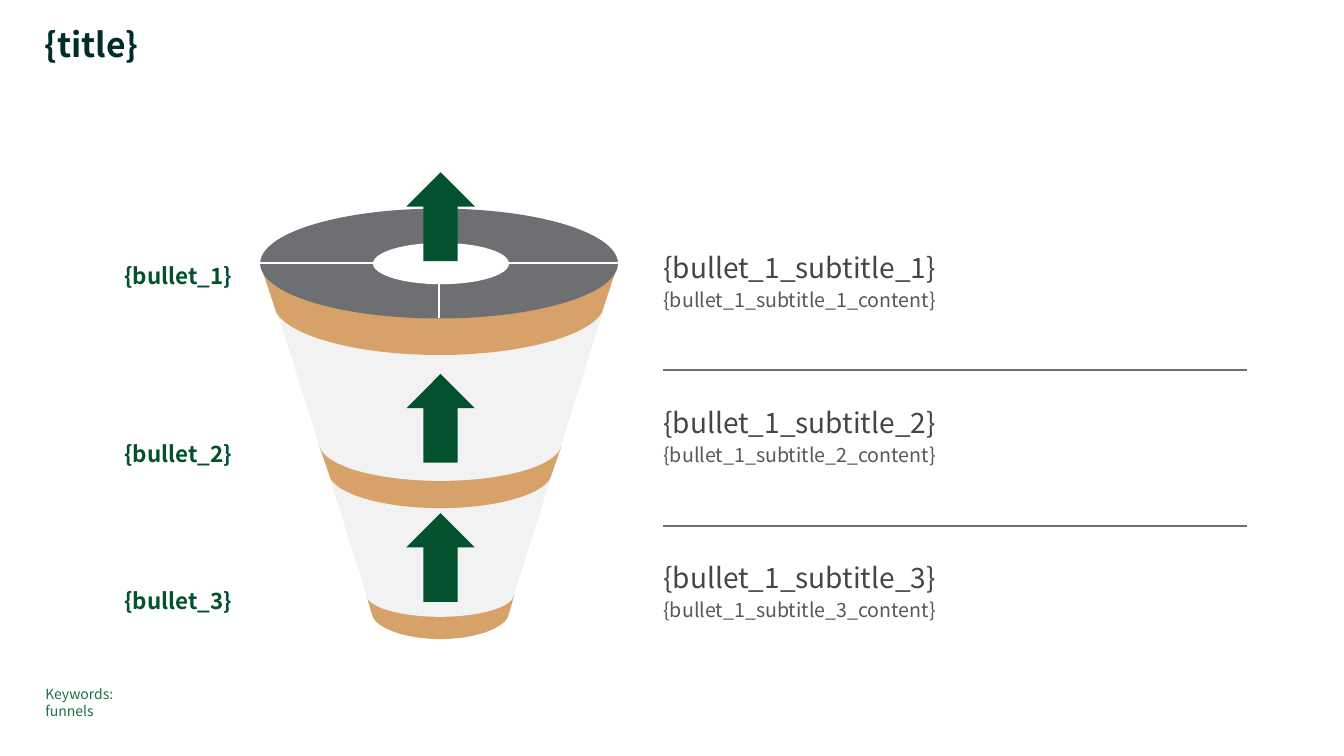
from lxml import etree
from pptx import Presentation
from pptx.dml.color import RGBColor
from pptx.enum.shapes import MSO_CONNECTOR, MSO_SHAPE
from pptx.enum.text import MSO_ANCHOR, MSO_AUTO_SIZE, PP_ALIGN
from pptx.oxml.ns import qn
from pptx.util import Pt

OVAL, ARROW = MSO_SHAPE.OVAL, MSO_SHAPE.RIGHT_ARROW
STRAIGHT = MSO_CONNECTOR.STRAIGHT
LEFT, RIGHT = PP_ALIGN.LEFT, PP_ALIGN.RIGHT
TOP, NO_FIT = MSO_ANCHOR.TOP, MSO_AUTO_SIZE.NONE

TITLE = "{title}"
STAGES = [("{bullet_1}", 189.4), ("{bullet_2}", 316.8), ("{bullet_3}", 421.9)]
DETAILS = [
    ("{bullet_1_subtitle_1}", "{bullet_1_subtitle_1_content}"),
    ("{bullet_1_subtitle_2}", "{bullet_1_subtitle_2_content}"),
    ("{bullet_1_subtitle_3}", "{bullet_1_subtitle_3_content}"),
]
KEYWORDS = ["Keywords:", "funnels"]

THEME = {
    "font": "Noto Sans CJK JP",
    "title": {"size": 24, "color": "002D28", "bold": True},
    "stage": {"size": 16, "color": "03522D", "bold": True},
    "subtitle": {"size": 20, "color": "454545", "bold": False},
    "content": {"size": 14, "color": "575757", "bold": False},
    "keywords": {"size": 10, "color": "1A7449", "bold": False},
    "cone": "E7E6E6", "band": "D6A26A", "disc": "6E6F73", "inside": "F2F2F2",
    "white": "FFFFFF", "arrow": "03522D", "rule": "6E6F73",
}

# Funnel geometry in points
CONE = [(189.4, 195.8), (439.2, 195.8), (362.9, 438.5), (266.4, 439.2)]
# centre x, peak y, (rim half width, y), (shoulder half width, y), bottom y
BANDS = [
    (313.6, 180.7, (127.8, 188.6), (116.2, 223.5), 253.6),
    (314.6, 416.9, (52.9, 424.8), (48.4, 440.5), 456.5),
    (314.6, 313.2, (86.4, 318.9), (78.4, 342), 363),
]
DISCS = [
    (185.8, 149, 255.6, 78.5, "disc"),
    (261.4, 408.2, 105.8, 32.4, "inside"),
    (228.2, 290.2, 172.8, 53.3, "inside"),
]
HOLE = (266.4, 173.5, 97.2, 29.5, "white")
SPOKES = [(313.4, 149, 313.4, 227.5), (185.8, 188, 441.4, 188)]
ARROW_TOPS = [130.3, 274.3, 373.7]
ARROW_LEFT, ARROW_LENGTH, ARROW_WIDTH = 283, 63.4, 49
DETAIL_LEFT, DETAIL_TOP, DETAIL_WIDTH, DETAIL_STEP = 473.8, 178.6, 416.9, 110.9
RULE_TOP, RULE_STEP = 264.4, 111.3
CURVE_STEPS = 16

prs = Presentation()
prs.slide_width, prs.slide_height = Pt(960), Pt(540)
s = prs.slides.add_slide(prs.slide_layouts[5])


def rgb(name):
    return RGBColor.from_string(THEME[name])


def paint(sp, fill):
    sp.shadow.inherit = False
    sp.fill.solid()
    sp.fill.fore_color.rgb = rgb(fill)
    sp.line.fill.background()


def shape(kind, left, top, width, height, fill):
    sp = s.shapes.add_shape(kind, Pt(left), Pt(top), Pt(width), Pt(height))
    paint(sp, fill)
    return sp


def polygon(points, fill):
    points = [(Pt(x), Pt(y)) for x, y in points]
    builder = s.shapes.build_freeform(*points[0])
    builder.add_line_segments(points[1:])
    sp = builder.convert_to_shape()
    paint(sp, fill)
    return sp


def band(cx, peak, rim, shoulder, bottom):
    """Draw a ring: straight sides below the rim, a Bezier curve underneath."""
    half, y = shoulder
    depth = bottom - y
    handles = [(half, y), (0.91 * half, y + 0.57 * depth), (0.49 * half, bottom), (0, bottom)]
    curve = []
    for step in range(CURVE_STEPS + 1):
        t = step / CURVE_STEPS
        weights = [(1 - t) ** 3, 3 * t * (1 - t) ** 2, 3 * t * t * (1 - t), t ** 3]
        curve.append(tuple(sum(w * h[i] for w, h in zip(weights, handles)) for i in (0, 1)))
    side = [rim] + curve
    right = [(cx + dx, dy) for dx, dy in side]
    left = [(cx - dx, dy) for dx, dy in reversed(side[:-1])]
    polygon([(cx, peak)] + right + left, "band")


def line(x1, y1, x2, y2, color, width):
    c = s.shapes.add_connector(STRAIGHT, Pt(x1), Pt(y1), Pt(x2), Pt(y2))
    c.line.color.rgb = rgb(color)
    c.line.width = Pt(width)
    etree.SubElement(c._element.spPr, qn("a:effectLst"))


def write(sp, paragraphs, align=LEFT, spacing=1.0, after=0):
    """Fill a shape with (style, lines) paragraphs; lines are split by breaks."""
    tf = sp.text_frame
    frame = {"margin_left": 0, "margin_right": 0, "margin_top": 0, "margin_bottom": 0,
             "word_wrap": True, "auto_size": NO_FIT, "vertical_anchor": TOP}
    for name, value in frame.items():
        setattr(tf, name, value)
    for i, (style, lines) in enumerate(paragraphs):
        p = tf.add_paragraph() if i else tf.paragraphs[0]
        layout = {"alignment": align, "line_spacing": spacing,
                  "space_before": Pt(0), "space_after": Pt(after)}
        for name, value in layout.items():
            setattr(p, name, value)
        for j, text in enumerate(lines):
            if j:
                p.add_line_break()
            r = p.add_run()
            r.text = text
            look = THEME[style]
            font = {"name": THEME["font"], "size": Pt(look["size"]), "bold": look["bold"]}
            for name, value in font.items():
                setattr(r.font, name, value)
            r.font.color.rgb = RGBColor.from_string(look["color"])


def text_box(left, top, width, height, paragraphs, **layout):
    sp = s.shapes.add_textbox(Pt(left), Pt(top), Pt(width), Pt(height))
    write(sp, paragraphs, **layout)


title = s.shapes.title
title.left, title.top, title.width, title.height = Pt(31.7), Pt(20.2), Pt(794.2), Pt(26.6)
write(title, [("title", [TITLE])], spacing=0.9)

cone = polygon(CONE, "cone")
cone_color = cone.fill._xPr.find(qn("a:solidFill"))[0]
etree.SubElement(cone_color, qn("a:alpha"), val="50000")
for ring, disc in zip(BANDS, DISCS):
    band(*ring)
    shape(OVAL, *disc)
shape(OVAL, *HOLE)
for spoke in SPOKES:
    line(*spoke, "white", 1.5)
for top in ARROW_TOPS:
    arrow = shape(ARROW, ARROW_LEFT, top, ARROW_LENGTH, ARROW_WIDTH, "arrow")
    arrow.rotation = 270

for label, top in STAGES:
    text_box(59.8, top, 105.8, 18, [("stage", [label])], align=RIGHT, spacing=0.9)
for i, (subtitle, content) in enumerate(DETAILS):
    text_box(DETAIL_LEFT, DETAIL_TOP + i * DETAIL_STEP, DETAIL_WIDTH, 43.9,
             [("subtitle", [subtitle]), ("content", [content])], after=3)
for i in range(len(DETAILS) - 1):
    y = RULE_TOP + i * RULE_STEP
    line(DETAIL_LEFT, y, DETAIL_LEFT + DETAIL_WIDTH, y, "rule", 1)
text_box(32.4, 489.6, 82.1, 12.2, [("keywords", KEYWORDS)])

prs.save("out.pptx")
